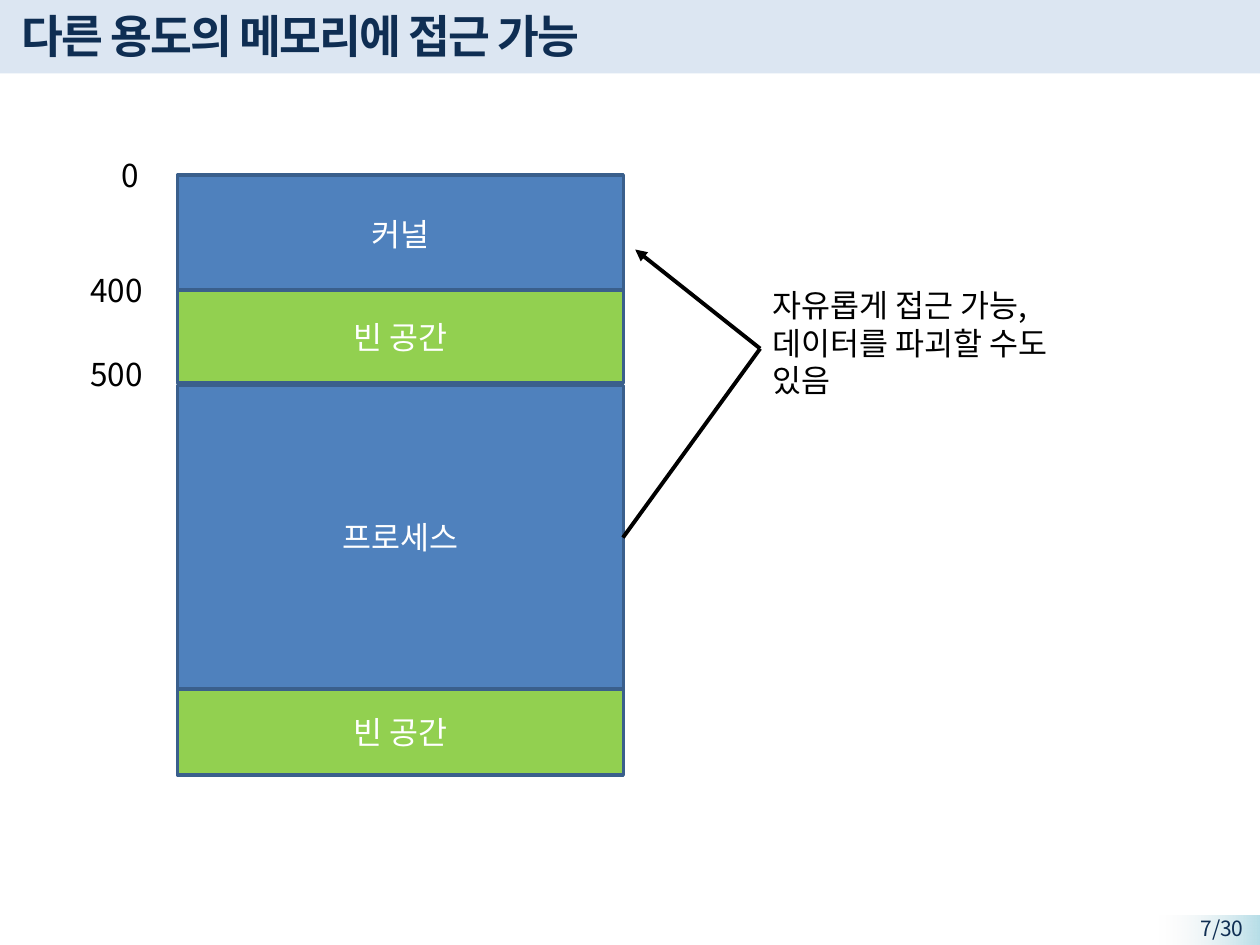
from lxml.etree import SubElement
from pptx import Presentation
from pptx.dml.color import RGBColor
from pptx.enum.shapes import MSO_CONNECTOR as Connector, MSO_SHAPE as Shape
from pptx.enum.text import MSO_ANCHOR as Anchor, MSO_AUTO_SIZE as AutoSize, PP_ALIGN as Align
from pptx.oxml.ns import qn
from pptx.util import Pt

FONT = "Noto Sans CJK KR"
NAVY, BLACK, WHITE = "0F2E53", "000000", "FFFFFF"
BLUE, GREEN, BORDER = "4F81BD", "92D050", "3A5F8C"


def color(value):
    return RGBColor.from_string(value)


class SlideBuilder:
    text_size = 18
    line_ratio = 1.2

    def __init__(self, page):
        self.page = page

    def set_text(self, shape, text, ink=BLACK, size=text_size, align=Align.LEFT,
                 anchor=Anchor.TOP, bold=False, tracking=0):
        frame = shape.text_frame
        frame.text = text
        frame.word_wrap = True
        frame.auto_size = AutoSize.NONE
        frame.vertical_anchor = anchor
        for paragraph in frame.paragraphs:
            paragraph.alignment = align
            paragraph.line_spacing = Pt(size * self.line_ratio)
            for span in paragraph.runs:
                span.font.name = FONT
                span.font.size = Pt(size)
                span.font.bold = bold
                span.font.color.rgb = color(ink)
                properties = span.font._element
                SubElement(properties, qn("a:ea"), typeface=FONT)
                if tracking:
                    properties.set("spc", str(tracking * 100))

    def rectangle(self, left, top, width, height, fill, border=None):
        box = self.page.shapes.add_shape(
            Shape.RECTANGLE, Pt(left), Pt(top), Pt(width), Pt(height))
        box.shadow.inherit = False
        box.fill.solid()
        box.fill.fore_color.rgb = color(fill)
        if border:
            box.line.color.rgb = color(border)
            box.line.width = Pt(2)
        else:
            box.line.fill.background()
        return box

    def fading_rectangle(self, left, top, width, height, start, end):
        """Rectangle that fades from start at its right to a transparent end."""
        box = self.rectangle(left, top, width, height, start)
        box.fill.gradient()
        box.fill.gradient_angle = 180
        for stop, value, position in zip(box.fill.gradient_stops, (start, end), (0, 1)):
            stop.color.rgb = color(value)
            stop.position = position
        last_color = box.element.findall(".//" + qn("a:srgbClr"))[-1]
        SubElement(last_color, qn("a:alpha"), val="0")

    def title(self, text, left, top, width, height):
        title = self.page.shapes.title
        title.left, title.top, title.width, title.height = map(Pt, (left, top, width, height))
        self.set_text(title, text, NAVY, 26, anchor=Anchor.MIDDLE, bold=True, tracking=-1)
        return title

    def text(self, text, left, top, width, height, **style):
        box = self.page.shapes.add_textbox(Pt(left), Pt(top), Pt(width), Pt(height))
        self.set_text(box, text, **style)

    def line(self, start, end, arrow=False):
        line = self.page.shapes.add_connector(
            Connector.STRAIGHT, *map(Pt, start), *map(Pt, end))
        line.line.color.rgb = color(BLACK)
        line.line.width = Pt(2.25)
        properties = line.element.spPr
        if arrow:
            SubElement(properties.find(qn("a:ln")), qn("a:tailEnd"), type="triangle")
        SubElement(properties, qn("a:effectLst"))


def main():
    deck = Presentation()
    deck.slide_width, deck.slide_height = Pt(720), Pt(540)
    page = deck.slides.add_slide(deck.slide_layouts[5])
    builder = SlideBuilder(page)

    band = builder.rectangle(0, -1.5, 720, 43.5, "DCE6F2")
    title = builder.title("다른 용도의 메모리에 접근 가능", 5, 1.5, 613, 37.5)
    title.element.addprevious(band.element)
    builder.fading_rectangle(662.4, 523.2, 57.6, 17, "B7DEE8", "F2F2F2")
    builder.text("7/30", 651.6, 519.8, 66.2, 16.6, ink=NAVY, size=12, align=Align.RIGHT)

    memory_left, memory_width = 101.5, 254.7
    blocks = [
        ("커널", 100, 67.5, BLUE),
        ("빈 공간", 165.8, 53, GREEN),
        ("프로세스", 220.3, 173.5, BLUE),
        ("빈 공간", 393.8, 49.2, GREEN),
    ]
    for name, top, height, fill in blocks:
        block = builder.rectangle(memory_left, top, memory_width, height, fill, BORDER)
        builder.set_text(block, name, WHITE, align=Align.CENTER, anchor=Anchor.MIDDLE)

    address_right = 94.3
    for address, top, width in [("0", 85.7, 31.7), ("400", 151.5, 49.7), ("500", 199.5, 49.7)]:
        builder.text(address, address_right - width, top, width, 29)

    process_edge, bend, kernel_edge = (356, 307.2), (434.4, 199.2), (363, 142.6)
    builder.line(process_edge, bend)
    builder.line(bend, kernel_edge, arrow=True)
    builder.text("자유롭게 접근 가능,\n데이터를 파괴할 수도 있음", 434.4, 159.8, 202.3, 72.7)

    deck.save("out.pptx")


if __name__ == "__main__":
    main()
